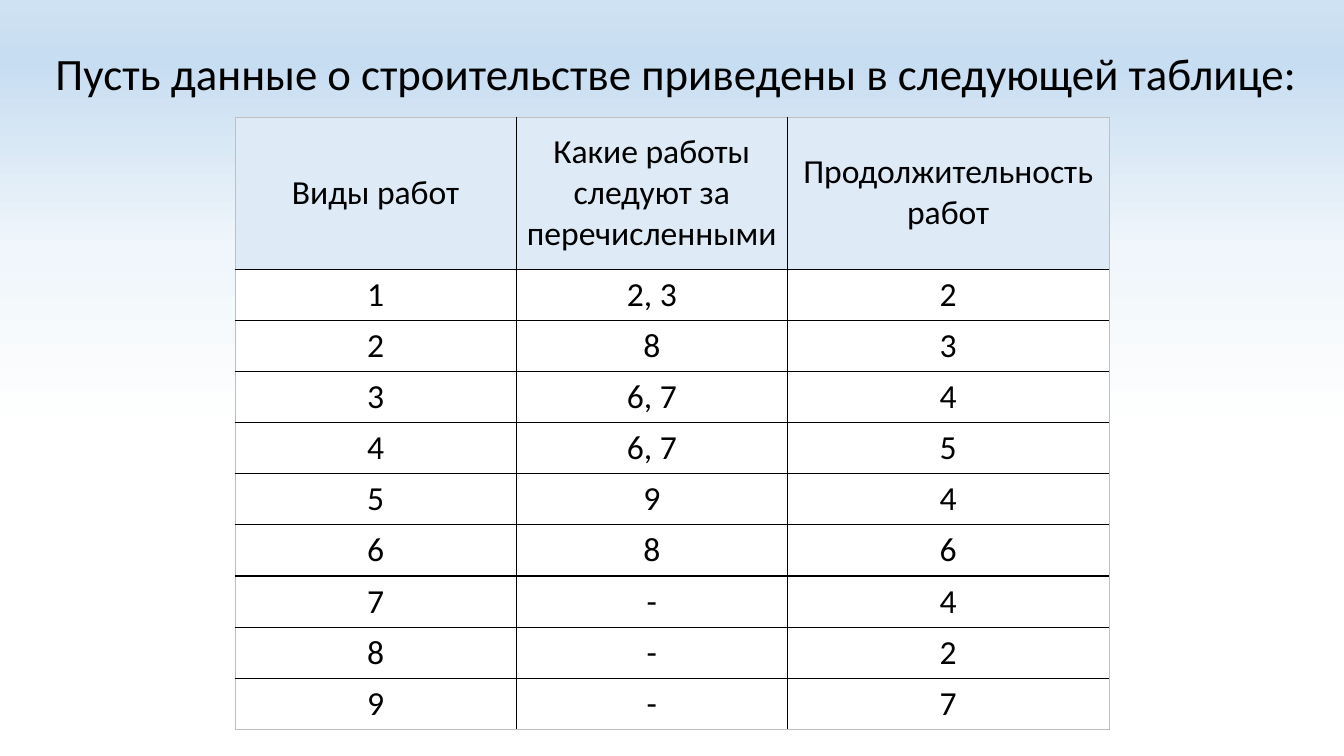
from dataclasses import dataclass

from lxml import etree
from pptx import Presentation, util as u
from pptx.dml.color import RGBColor
from pptx.enum import text
from pptx.oxml import ns

BLACK = RGBColor(0x00, 0x00, 0x00)
WHITE = RGBColor(0xFF, 0xFF, 0xFF)
GREY = RGBColor(0xBF, 0xBF, 0xBF)
PALE = RGBColor(0xDE, 0xEB, 0xF7)
SKY = RGBColor(0xCF, 0xE2, 0xF3)
BLUE = RGBColor(0xC7, 0xDD, 0xF1)
MIST = RGBColor(0xF0, 0xF6, 0xFB)

WIDE, HIGH = u.Inches(13.33), u.Inches(7.5)
FONT = "Calibri"
TITLE = "Пусть данные о строительстве приведены в следующей таблице:"


@dataclass
class Col:
    head: str
    share: float
    vals: list[str]


@dataclass
class Stop:
    pos: int
    tint: RGBColor


COLS = [
    Col("Виды работ", 0.2093, [str(n) for n in range(1, 10)]),
    Col("Какие работы следуют за перечисленными", 0.2018,
        ["2, 3", "8", "6, 7", "6, 7", "9", "8", "-", "-", "-"]),
    Col("Продолжительность работ", 0.2393, list("234546427")),
]
STOPS = [Stop(0, SKY), Stop(8, BLUE), Stop(33, MIST), Stop(58, WHITE)]
ROWS = 1 + len(COLS[0].vals)
TOP, LEFT = 0.1547, 0.1748
HEAD, ROW = 0.2013, 0.0677


def across(share: float) -> int:
    return round(WIDE * share)


def down(share: float) -> int:
    return round(HIGH * share)


def tag(up, name: str, **attrs: str):
    return etree.SubElement(up, ns.qn(name), attrs)


def style(para, size: int) -> None:
    for run in para.runs:
        run.font.name = FONT
        run.font.size = u.Pt(size)
        run.font.color.rgb = BLACK


def paint(slide) -> None:
    fill = slide.background.fill
    fill.gradient()
    fill.gradient_angle = 270
    box = next(slide.element.iter(ns.qn("a:gsLst")))
    for old in list(box):
        box.remove(old)
    for stop in STOPS:
        mark = tag(box, "a:gs", pos=str(stop.pos * 1000))
        tag(mark, "a:srgbClr", val=str(stop.tint))


def edge(cell, row: int, col: int) -> None:
    outer = {"L": col == 0, "R": col == len(COLS) - 1,
             "T": row == 0, "B": row == ROWS - 1}
    props = cell._tc.get_or_add_tcPr()
    for spot, (side, out) in enumerate(outer.items()):
        line = tag(props, f"a:ln{side}", w=str(u.Pt(0.5 if out else 1)))
        tag(tag(line, "a:solidFill"), "a:srgbClr", val=str(GREY if out else BLACK))
        props.insert(spot, line)


def write(cell, words: str, tint: RGBColor) -> None:
    cell.text_frame.text = words
    cell.vertical_anchor = text.MSO_ANCHOR.MIDDLE
    cell.margin_left = cell.margin_right = u.Inches(0.08)
    cell.fill.solid()
    cell.fill.fore_color.rgb = tint
    para = cell.text_frame.paragraphs[0]
    para.alignment = text.PP_ALIGN.CENTER
    style(para, 24)


def grid(slide) -> None:
    wide = across(sum(col.share for col in COLS))
    high = down(HEAD + ROW * (ROWS - 1))
    table = slide.shapes.add_table(
        ROWS, len(COLS), across(LEFT), down(TOP), wide, high).table
    table.horz_banding = False
    for r, row in enumerate(table.rows):
        row.height = down(ROW if r else HEAD)
    for c, col in enumerate(COLS):
        table.columns[c].width = across(col.share)
        for r, words in enumerate([col.head, *col.vals]):
            cell = table.cell(r, c)
            write(cell, words, WHITE if r else PALE)
            edge(cell, r, c)
            cell.text_frame.paragraphs[0].font.bold = False


def title(slide) -> None:
    head = slide.shapes.title
    head.left, head.top = across(0.0338), down(0.0267)
    head.width, head.height = across(0.949), down(0.148)
    frame = head.text_frame
    frame.text = TITLE
    frame.auto_size = text.MSO_AUTO_SIZE.NONE
    frame.vertical_anchor = text.MSO_ANCHOR.MIDDLE
    para = frame.paragraphs[0]
    para.alignment = text.PP_ALIGN.LEFT
    para.line_spacing = 0.9
    style(para, 32)


def main() -> None:
    deck = Presentation()
    deck.slide_width, deck.slide_height = WIDE, HIGH
    slide = deck.slides.add_slide(deck.slide_layouts[5])
    paint(slide)
    title(slide)
    grid(slide)
    deck.save("out.pptx")


if __name__ == "__main__":
    main()
